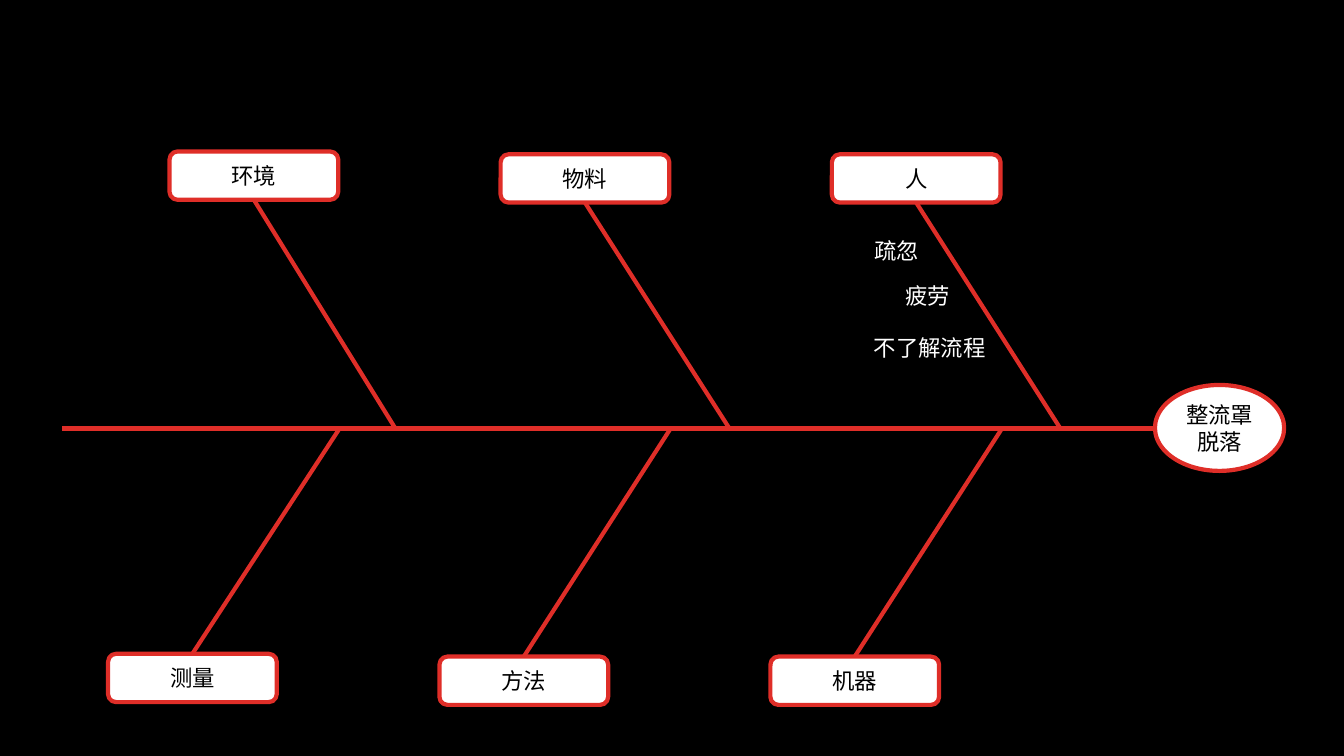
from lxml.etree import SubElement
from pptx import Presentation
from pptx.dml.color import RGBColor
from pptx.enum.shapes import MSO_CONNECTOR, MSO_SHAPE
from pptx.enum.text import MSO_ANCHOR, MSO_AUTO_SIZE, PP_ALIGN
from pptx.oxml.ns import qn
from pptx.util import Pt

FONT = "Noto Sans CJK SC"
HEX = {"back": "000000", "red": "DF2E28", "white": "FFFFFF", "ink": "000000"}
COLOR = {name: RGBColor.from_string(code) for name, code in HEX.items()}


def write(shape, text, color="ink", align=PP_ALIGN.CENTER, anchor=MSO_ANCHOR.MIDDLE, wrap=True):
    frame = shape.text_frame
    frame.word_wrap = wrap
    frame.vertical_anchor = anchor
    if not wrap:
        frame.auto_size = MSO_AUTO_SIZE.SHAPE_TO_FIT_TEXT
    line = frame.paragraphs[0]
    line.alignment = align
    run = line.add_run()
    run.text = text
    run.font.size = Pt(16)
    run.font.name = FONT
    run.font.color.rgb = COLOR[color]
    SubElement(run.font._element, qn("a:ea")).set("typeface", FONT)


def style(shape):
    shape.line.color.rgb = COLOR["red"]
    shape.line.width = Pt(3)
    if hasattr(shape, "fill"):
        shape.fill.solid()
        shape.fill.fore_color.rgb = COLOR["white"]
        shape.shadow.inherit = False
    else:
        SubElement(shape._element.spPr, qn("a:effectLst"))


deck = Presentation()
deck.slide_width, deck.slide_height = Pt(960), Pt(540)
slide = deck.slides.add_slide(deck.slide_layouts[6])
slide.background.fill.solid()
slide.background.fill.fore_color.rgb = COLOR["back"]
shapes = slide.shapes

fish = shapes.add_group_shape().shapes
head = fish.add_shape(MSO_SHAPE.OVAL, Pt(825), Pt(275), Pt(92.3), Pt(61.4))
style(head)
write(head, "整流罩脱落")
spine = fish.add_connector(MSO_CONNECTOR.STRAIGHT, Pt(825), Pt(306), Pt(44), Pt(306))
style(spine)

UPPER, LOWER = 2, 0
causes = [
    ("人", 594.2, 110.2, 757.4, UPPER),
    ("物料", 357.6, 110.2, 521, UPPER),
    ("环境", 121.1, 108.2, 282.4, UPPER),
    ("机器", 550.3, 469, 715, LOWER),
    ("方法", 313.9, 469, 478.3, LOWER),
    ("测量", 77.2, 467, 241.8, LOWER),
]
for name, left, top, foot, side in causes:
    box = shapes.add_shape(MSO_SHAPE.ROUNDED_RECTANGLE, Pt(left), Pt(top), Pt(120.5), Pt(34.5))
    style(box)
    write(box, name)
    level = Pt(306 if side == UPPER else 307.2)
    bone = shapes.add_connector(MSO_CONNECTOR.STRAIGHT, Pt(foot), level, Pt(foot), level)
    bone.end_connect(box, side)
    style(bone)

for text, left, top, width in [
    ("疏忽", 617.7, 165.6, 46.6),
    ("疲劳", 639.4, 198, 46.6),
    ("不了解流程", 617.2, 234.8, 94.8),
]:
    note = shapes.add_textbox(Pt(left), Pt(top), Pt(width), Pt(26.6))
    write(note, text, color="white", align=PP_ALIGN.LEFT, anchor=MSO_ANCHOR.TOP, wrap=False)

deck.save("out.pptx")
